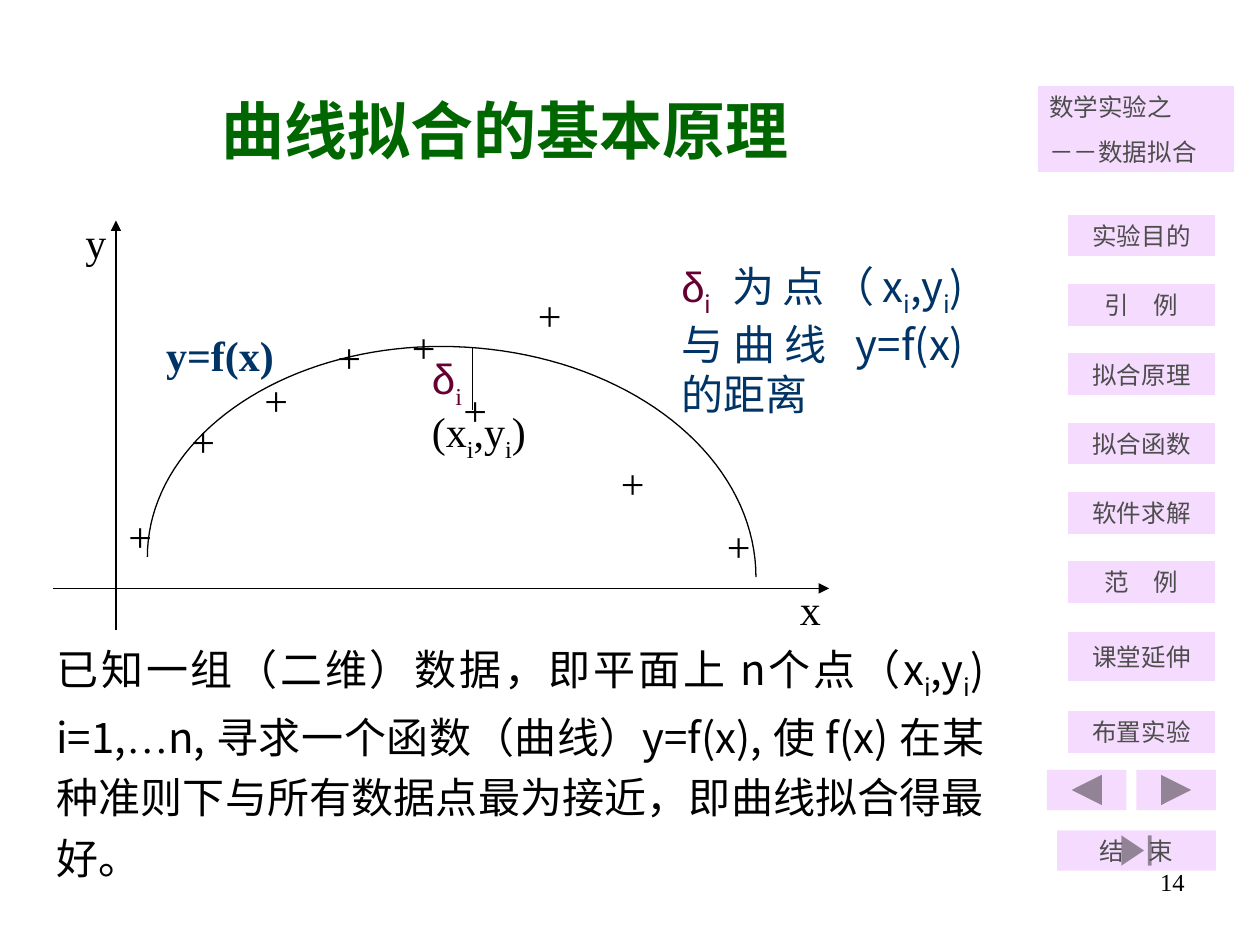
"""Builds the slide on the basic principle of curve fitting."""
import math
from typing import NamedTuple

from lxml import etree
from pptx import Presentation
from pptx import util as u
from pptx.dml import color
from pptx.enum import shapes, text
from pptx.oxml import ns

CJK, SERIF, SANS = "Noto Sans CJK SC", "Times New Roman", "Arial"
BLACK, GREY, LILAC, WHITE = "000000", "4D4D4D", "F5DBFD", "FFFFFF"
NAVY, PLUM, GREEN = "003366", "660033", "006600"
SHAPE, ALIGN, ANCHOR = shapes.MSO_SHAPE, text.PP_ALIGN, text.MSO_ANCHOR


class Box(NamedTuple):
    left: float
    top: float
    width: float
    height: float


class Run(NamedTuple):
    text: str
    font: str = CJK
    color: str = BLACK
    size: int = 24
    bold: bool = False
    sub: bool = False


class NavButton(NamedTuple):
    label: str
    top: float
    font: str = CJK
    height: float = 0.34


class ActionButton(NamedTuple):
    kind: shapes.MSO_SHAPE
    box: Box
    label: str = ""


def rgb(value: str) -> color.RGBColor:
    return color.RGBColor.from_string(value)


def inches(values) -> list:
    return [u.Inches(v) for v in values]


def write(p, runs: list[Run], align=ALIGN.LEFT) -> None:
    p.alignment = align
    for run in runs:
        r = p.add_run()
        r.text = run.text
        r.font.name, r.font.size, r.font.bold = run.font, u.Pt(run.size), run.bold
        r.font.color.rgb = rgb(run.color)
        rpr = r.font._element
        etree.SubElement(rpr, ns.qn("a:ea")).set("typeface", CJK)
        if run.sub:
            rpr.set("baseline", "-25000")


def add_text(s, box: Box, runs: list[Run], align=ALIGN.LEFT, spacing=None) -> None:
    tf = s.shapes.add_textbox(*inches(box)).text_frame
    tf.word_wrap = True
    write(tf.paragraphs[0], runs, align)
    if spacing:
        tf.paragraphs[0].line_spacing = spacing


def add_panel(s, kind, box: Box, line: str | None = None):
    sp = s.shapes.add_shape(kind, *inches(box))
    sp.shadow.inherit = False
    sp.fill.solid()
    sp.fill.fore_color.rgb = rgb(LILAC)
    if line:
        sp.line.color.rgb = rgb(line)
        sp.line.width = u.Pt(0.75)
    else:
        sp.line.fill.background()
    return sp


def add_line(s, start: tuple, end: tuple, arrow: bool = False) -> None:
    c = s.shapes.add_connector(shapes.MSO_CONNECTOR.STRAIGHT, *inches(start + end))
    c.line.color.rgb = rgb(BLACK)
    c.line.width = u.Pt(0.75)
    if arrow:
        etree.SubElement(c.line._get_or_add_ln(), ns.qn("a:tailEnd")).set("type", "triangle")
    etree.SubElement(c._element.spPr, ns.qn("a:effectLst"))


def add_quarter_arc(s, center: tuple, rx: float, ry: float, steps: int = 40) -> None:
    """Draws from the top of an ellipse to its side; a negative rx goes left."""
    angles = [math.pi / 2 * k / steps for k in range(steps + 1)]
    points = [(u.Inches(center[0] + rx * math.sin(a)), u.Inches(center[1] - ry * math.cos(a)))
              for a in angles]
    fb = s.shapes.build_freeform(*points[0])
    fb.add_line_segments(points[1:], close=False)
    sp = fb.convert_to_shape()
    sp.shadow.inherit = False
    sp.fill.background()
    sp.line.color.rgb = rgb(BLACK)
    sp.line.width = u.Pt(0.75)


def point_runs(before: str, after: str, font: str, ink: str) -> list[Run]:
    i = Run("i", font, ink, sub=True)
    return [Run(before, font, ink), i, Run(",y", font, ink), i, Run(after, font, ink)]


LABELS = ["实验目的", "引　例", "拟合原理", "拟合函数", "软件求解", "范　例"]
NAV = [NavButton(label, 1.7 + 0.55 * k, SANS if label.startswith("拟合") else CJK)
       for k, label in enumerate(LABELS)]
NAV += [NavButton("课堂延伸", 5.01, height=0.4), NavButton("布置实验", 5.64)]
ACTIONS = [
    ActionButton(SHAPE.ACTION_BUTTON_BACK_OR_PREVIOUS, Box(8.31, 6.11, 0.63, 0.32)),
    ActionButton(SHAPE.ACTION_BUTTON_FORWARD_OR_NEXT, Box(9.02, 6.11, 0.63, 0.32)),
    ActionButton(SHAPE.ACTION_BUTTON_END, Box(8.39, 6.59, 1.26, 0.32), "结　束"),
]
DATA_POINTS = [(0.92, 4), (1.42, 3.25), (2, 2.92), (2.58, 2.58), (3.17, 2.5),
               (3.58, 3), (4.17, 2.25), (4.83, 3.58), (5.67, 4.08)]


def draw_sidebar(s) -> None:
    sp = add_panel(s, SHAPE.RECTANGLE, Box(8.23, 0.68, 1.57, 0.69), WHITE)
    tf = sp.text_frame
    tf.vertical_anchor = ANCHOR.TOP
    write(tf.paragraphs[0], [Run("数学实验之", CJK, GREY, 14)])
    p = tf.add_paragraph()
    p.space_before = u.Pt(8.8)
    write(p, [Run("－－数据拟合", CJK, GREY, 14)])
    for nav in NAV:
        sp = add_panel(s, SHAPE.RECTANGLE, Box(8.47, nav.top, 1.18, nav.height), WHITE)
        sp.text_frame.vertical_anchor = ANCHOR.MIDDLE
        write(sp.text_frame.paragraphs[0], [Run(nav.label, nav.font, GREY, 14)], ALIGN.CENTER)
    for action in ACTIONS:
        sp = add_panel(s, action.kind, action.box)
        if action.label:
            sp.text_frame.word_wrap = False
            sp.text_frame.vertical_anchor = ANCHOR.MIDDLE
            write(sp.text_frame.paragraphs[0], [Run(action.label, CJK, GREY, 14)], ALIGN.CENTER)


def draw_plot(s) -> None:
    for x, y in DATA_POINTS:
        add_text(s, Box(x, y, 0.58, 0.5), [Run("+", SERIF)])
    add_line(s, (0.42, 4.67), (6.58, 4.67), arrow=True)
    add_line(s, (0.92, 5), (0.92, 1.75), arrow=True)
    add_text(s, Box(6.25, 4.58, 0.67, 0.5), [Run("x", SERIF)])
    add_text(s, Box(0.58, 1.67, 0.5, 0.5), [Run("y", SERIF)])
    add_quarter_arc(s, (3.5, 4.42), -2.33, 1.67)
    add_quarter_arc(s, (3.5, 4.58), 2.5, 1.83)
    add_text(s, Box(1.22, 2.57, 1.17, 0.5), [Run("y=f(x)", SERIF, NAVY, bold=True)])
    add_text(s, Box(3.33, 3.17, 1, 0.56), point_runs("(x", ")", SERIF, BLACK))
    add_line(s, (3.75, 3.25), (3.75, 2.75))
    add_text(s, Box(3.33, 2.75, 0.58, 0.56),
             [Run("δ", SANS, PLUM), Run("i", SERIF, PLUM, sub=True)])


def main() -> None:
    prs = Presentation()
    prs.slide_width, prs.slide_height = inches((10, 7.5))
    s = prs.slides.add_slide(prs.slide_layouts[6])
    add_text(s, Box(7.17, 6.83, 2.33, 0.52), [Run("14", SERIF, size=14)], ALIGN.RIGHT)
    draw_sidebar(s)
    add_text(s, Box(0.9, 0.68, 6.22, 0.7),
             [Run("曲线拟合的基本原理", CJK, GREEN, 36, True)], ALIGN.CENTER)
    statement = point_runs("已知一组（二维）数据，即平面上 n个点（x", ") i=1,", CJK, BLACK)
    statement += [Run("…", SERIF), Run("n, 寻求一个函数（曲线）y=f(x), 使 f(x) "
                                       "在某种准则下与所有数据点最为接近，即曲线拟合得最好。")]
    add_text(s, Box(0.35, 4.97, 7.56, 2.09), statement, ALIGN.JUSTIFY, 1.2)
    draw_plot(s)
    distance = [Run("δ", SANS, PLUM), Run("i ", CJK, PLUM, sub=True)]
    distance += point_runs("为点（x", ") 与曲线 y=f(x) 的距离", CJK, NAVY)
    add_text(s, Box(5.31, 2.02, 2.44, 1.81), distance, ALIGN.JUSTIFY)
    prs.save("out.pptx")


if __name__ == "__main__":
    main()
